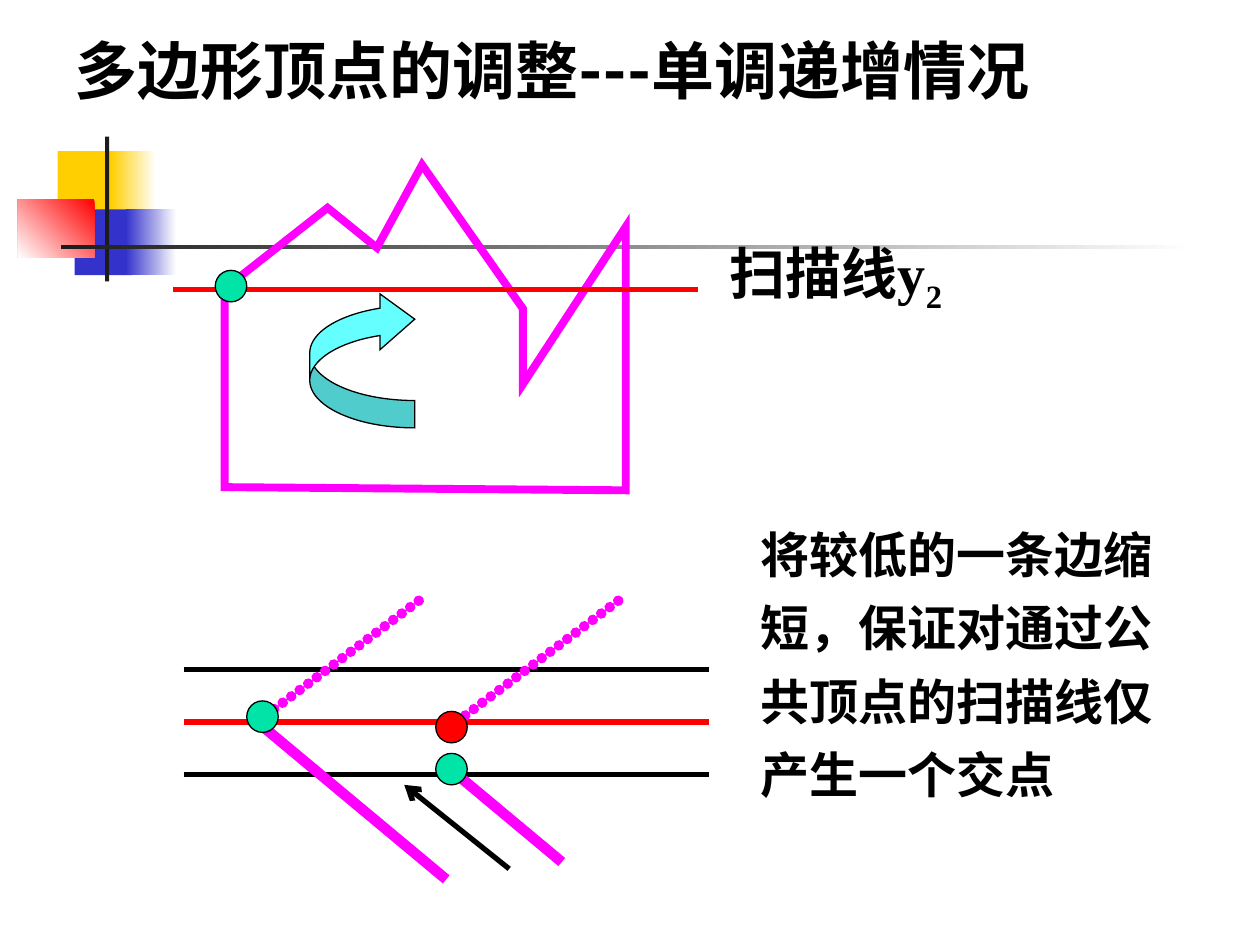
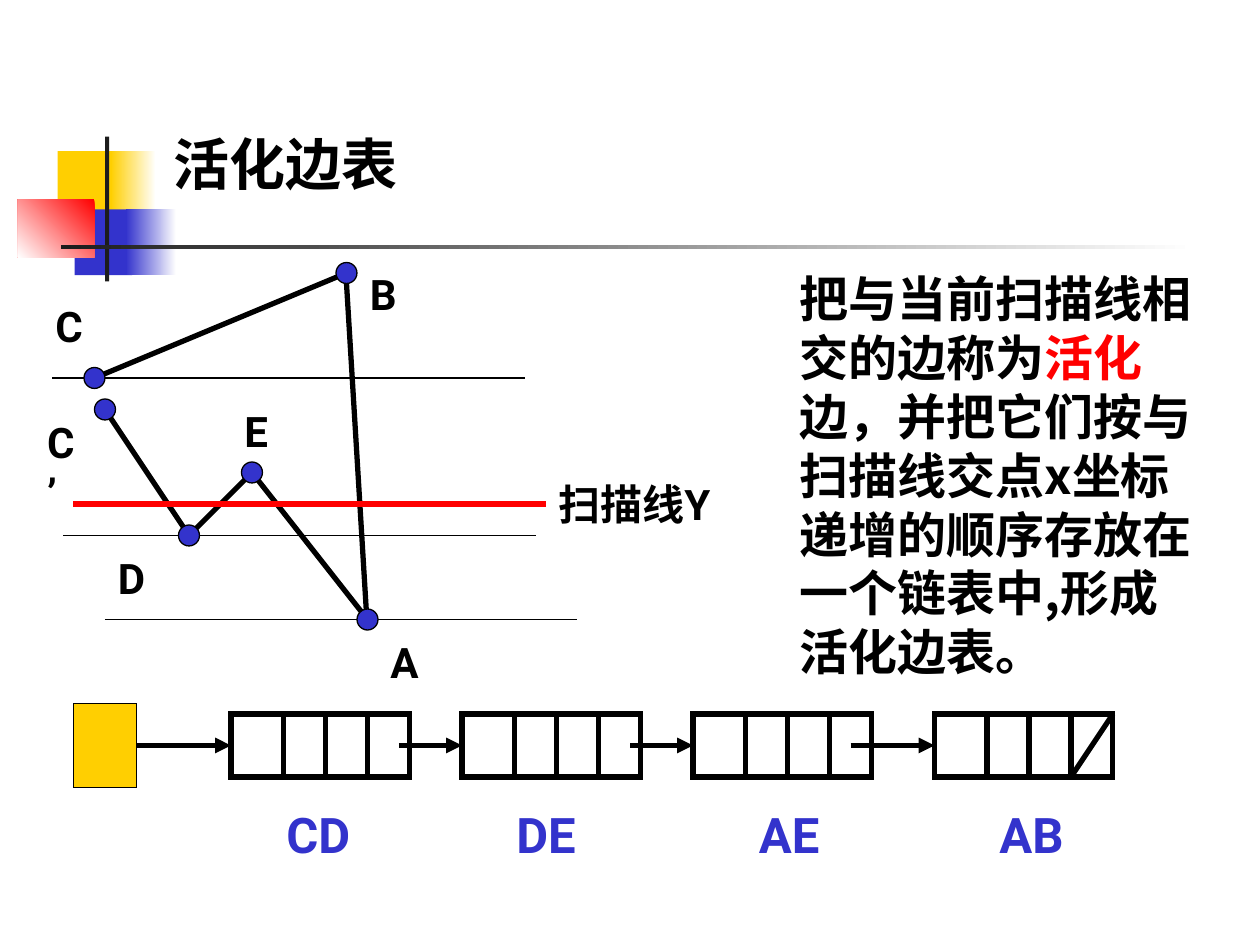
from lxml.etree import SubElement
from pptx import Presentation
from pptx.dml.color import RGBColor
from pptx.enum.shapes import MSO_CONNECTOR, MSO_SHAPE
from pptx.enum.text import MSO_ANCHOR
from pptx.oxml.ns import qn
from pptx.util import Emu, Inches, Pt

# Grid: 120 columns by 90 rows, twelve cells to the inch
CELL = Inches(1) // 12

BLACK = RGBColor(0x00, 0x00, 0x00)
WHITE = RGBColor(0xFF, 0xFF, 0xFF)
INK = RGBColor(0x1C, 0x1C, 0x1C)
RED = RGBColor(0xFF, 0x00, 0x00)
GOLD = RGBColor(0xFF, 0xCF, 0x01)
BLUE = RGBColor(0x33, 0x33, 0xCC)
PINK = RGBColor(0xFF, 0x00, 0xFF)
GREEN = RGBColor(0x00, 0xE4, 0xA8)
CYAN = RGBColor(0x66, 0xFF, 0xFF)

SANS, SERIF, PLAIN, HAN = "Roboto", "Times New Roman", "Arial", "Noto Sans CJK SC"
PAD = (1.2, 0.6)  # text inset across and down, in cells

# Shared corner ornament: box, colours, angle of the blend
DECOR = [
    ((5.5, 14.4, 5.8, 6.25), (GOLD,), 0),
    ((10.55, 14.4, 4.3, 6.25), (WHITE, GOLD), 180),
    ((7.1, 19.95, 5.5, 6.25), (BLUE,), 0),
    ((12, 19.95, 4.8, 6.25), (WHITE, BLUE), 180),
    ((1.7, 19, 7.3, 5.5), (RED, WHITE), 225),
    ((10, 13, 0.4, 13.8), (INK,), 0),
    ((5.8, 23.35, 108, 0.4), (WHITE, INK), 180),
]

# Slide 1: polygon, scan lines, edges and vertices
SHAPE = [(21.4, 27.5), (31.2, 19.8), (35.9, 23.6), (40.2, 15.7), (49.8, 29.4),
         (49.8, 36.6), (59.6, 21.6), (59.6, 46.7), (21.4, 46.4)]
SCANS = [(63.75, BLACK), (68.75, RED), (73.75, BLACK)]
EDGES = [  # start, end, dotted
    ((24.5, 68.75), (42.5, 83.75), False),
    ((24.5, 68.75), (40.5, 56.75), True),
    ((43.5, 73.75), (53.5, 82.1), False),
    ((43.5, 68.75), (59.5, 56.75), True),
]
DOTS = [((25, 68.25), GREEN), ((43, 73.25), GREEN), ((43, 69.25), RED)]
NOTE = "将较低的一条边缩短，保证对通过公共顶点的扫描线仅产生一个交点"

# Slide 2: broken outline, its labels, and the linked list
SIDES = [((9, 36), (33, 26)), ((33, 27), (35, 60)), ((10, 39), (18, 51)),
         ((18, 51), (24, 45)), ((24, 45), (35, 59))]
LEVELS = [(5, 36), (6, 51), (10, 59)]
KNOTS = [(35, 59), (33, 26), (24, 45), (18, 51), (10, 39), (9, 36)]
NAMES = [("A", 36, 60, 5.2), ("B", 34.05, 25, 5), ("C", 4.1, 28, 5),
         ("C’", 3.3, 39.1, 5.5), ("D", 10.05, 52, 5.3), ("E", 22.1, 38, 4.6)]
NODES = [  # name, left of box, start of arrow, left of name
    ("CD", 22, 13, 26.1), ("DE", 44, 38, 48),
    ("AE", 66, 60, 71.1), ("AB", 89, 81, 94),
]
TOP, WIDE, HIGH = 68, 17, 6
CUTS = (5, 9, 13)
STORY = [("把与当前扫描线相交的边称为", BLACK), ("活化", RED),
         ("边，并把它们按与扫描线交点x坐标递增的顺序存放在一个链表中,形成活化边表。", BLACK)]


def cells(*nums):
    return [Emu(round(n * CELL)) for n in nums]


def pen(line, color, width):
    line.color.rgb = color
    line.width = Pt(width)


def outline(part, color, width):
    """Line with sharp corners."""
    pen(part.line, color, width)
    SubElement(part.line._get_or_add_ln(), qn("a:miter"), lim="800000")


def block(slide, kind, box, fill=None, edge=None, width=0.75):
    part = slide.shapes.add_shape(kind, *cells(*box))
    part.shadow.inherit = False
    if fill is None:
        part.fill.background()
    else:
        part.fill.solid()
        part.fill.fore_color.rgb = fill
    if edge is None:
        part.line.fill.background()
    else:
        outline(part, edge, width)
    return part


def dot(slide, mid, size, fill):
    box = (mid[0] - size / 2, mid[1] - size / 2, size, size)
    block(slide, MSO_SHAPE.OVAL, box, fill, BLACK)


def rule(slide, start, end, color=BLACK, width=3, tip=None, dotted=False):
    part = slide.shapes.add_connector(MSO_CONNECTOR.STRAIGHT, *cells(*start, *end))
    pen(part.line, color, width)
    SubElement(part._element.spPr, qn("a:effectLst"))
    ln = part.line._get_or_add_ln()
    if dotted:
        ln.set("cap", "rnd")
        dash = SubElement(ln, qn("a:custDash"))
        SubElement(dash, qn("a:ds"), d="1000", sp="100000")
    if tip:
        SubElement(ln, qn("a:tailEnd"), type=tip)


def write(slide, box, runs, size, font=SANS, pad=PAD, anchor=MSO_ANCHOR.TOP, space=None):
    """Runs are (text, colour) or (text, colour, font, baseline)."""
    frame = slide.shapes.add_textbox(*cells(*box)).text_frame
    frame.word_wrap = True
    frame.vertical_anchor = anchor
    frame.margin_left = frame.margin_right = cells(pad[0])[0]
    frame.margin_top = frame.margin_bottom = cells(pad[1])[0]
    para = frame.paragraphs[0]
    para._p.get_or_add_pPr().set("hangingPunct", "0")
    if space:
        para.line_spacing = space
    for text, color, *more in runs:
        run = para.add_run()
        run.text = text
        run.font.size = Pt(size)
        run.font.bold = True
        run.font.color.rgb = color
        run.font.name = more[0] if more else font
        props = run._r.get_or_add_rPr()
        SubElement(props, qn("a:ea"), typeface=HAN)
        if len(more) > 1:
            props.set("baseline", more[1])


def start(deck):
    slide = deck.slides.add_slide(deck.slide_layouts[6])
    for box, tones, angle in DECOR:
        part = block(slide, MSO_SHAPE.RECTANGLE, box, tones[0])
        if len(tones) > 1:
            part.fill.gradient()
            part.fill.gradient_angle = angle
            for stop, tone in zip(part.fill.gradient_stops, tones):
                stop.color.rgb = tone
    return slide


def adjust(deck):
    slide = start(deck)
    write(slide, (5.9, 1, 114.1, 9.8), [("多边形顶点的调整---单调递增情况", BLACK)], 36,
          anchor=MSO_ANCHOR.MIDDLE, space=1.2)
    write(slide, (69.5, 22.75, 31, 7.3),
          [("扫描线", BLACK), ("y", BLACK, SERIF), ("2", BLACK, SERIF, "-25000")], 32,
          pad=(0, 0), anchor=MSO_ANCHOR.MIDDLE)

    # Polygon with its scan line and turning arrow
    first, *rest = [cells(*point) for point in SHAPE]
    path = slide.shapes.build_freeform(*first)
    path.add_line_segments(rest, close=True)
    ring = path.convert_to_shape()
    ring.shadow.inherit = False
    ring.fill.background()
    outline(ring, PINK, 4.5)
    rule(slide, (16.5, 27.6), (66.5, 27.6), RED)
    dot(slide, (22, 27.25), 3, GREEN)
    turn = block(slide, MSO_SHAPE.CURVED_RIGHT_ARROW, (29.5, 27.75, 10, 13), CYAN, BLACK)
    for spot, share in enumerate((0.26, 0.53, 0.33)):
        turn.adjustments[spot] = share
    turn._element.spPr.find(qn("a:xfrm")).set("flipV", "1")

    # Edge before and after it is shortened
    for row, color in SCANS:
        rule(slide, (17.5, row), (67.5, row), color)
    for head, foot, dotted in EDGES:
        rule(slide, head, foot, PINK, 6, dotted=dotted)
    rule(slide, (48.5, 82.75), (38.5, 74.75), tip="arrow")
    for mid, fill in DOTS:
        dot(slide, mid, 3, fill)
    write(slide, (71.25, 47.95, 41.6, 29.3), [(NOTE, BLACK)], 28, PLAIN, space=1.25)


def active(deck):
    slide = start(deck)
    write(slide, (15.3, 9.1, 35.6, 10.2), [("活化边表", BLACK)], 32,
          anchor=MSO_ANCHOR.BOTTOM)

    # Linked list
    mid = TOP + HIGH / 2
    for name, left, tail, text in NODES:
        block(slide, MSO_SHAPE.RECTANGLE, (left, TOP, WIDE, HIGH), None, BLACK, 3)
        rule(slide, (tail, mid), (left, mid), tip="triangle")
        for cut in CUTS:
            rule(slide, (left + cut, TOP), (left + cut, TOP + HIGH))
        write(slide, (text, 76, 9, 6.8), [(name, BLUE)], 28)
    last = NODES[-1][1]
    rule(slide, (last + CUTS[-1], TOP + HIGH), (last + WIDE, TOP))
    block(slide, MSO_SHAPE.RECTANGLE, (7, 67, 6, 8), GOLD, BLACK)

    # Outline cut by the scan line
    for head, foot in SIDES:
        rule(slide, head, foot)
    for left, row in LEVELS:
        rule(slide, (left, row), (left + 45, row), width=0.75)
    for knot in KNOTS:
        dot(slide, knot, 2, BLUE)
    for name, left, top, wide in NAMES:
        write(slide, (left, top, wide, 6), [(name, BLACK)], 24)
    rule(slide, (7, 48), (52, 48), RED)
    write(slide, (52, 45, 21, 6), [("扫描线Y", BLACK)], 24)
    write(slide, (75, 25, 40, 44), STORY, 28, HAN)


def main():
    deck = Presentation()
    deck.slide_width, deck.slide_height = Inches(10), Inches(7.5)
    adjust(deck)
    active(deck)
    deck.save("out.pptx")


if __name__ == "__main__":
    main()
